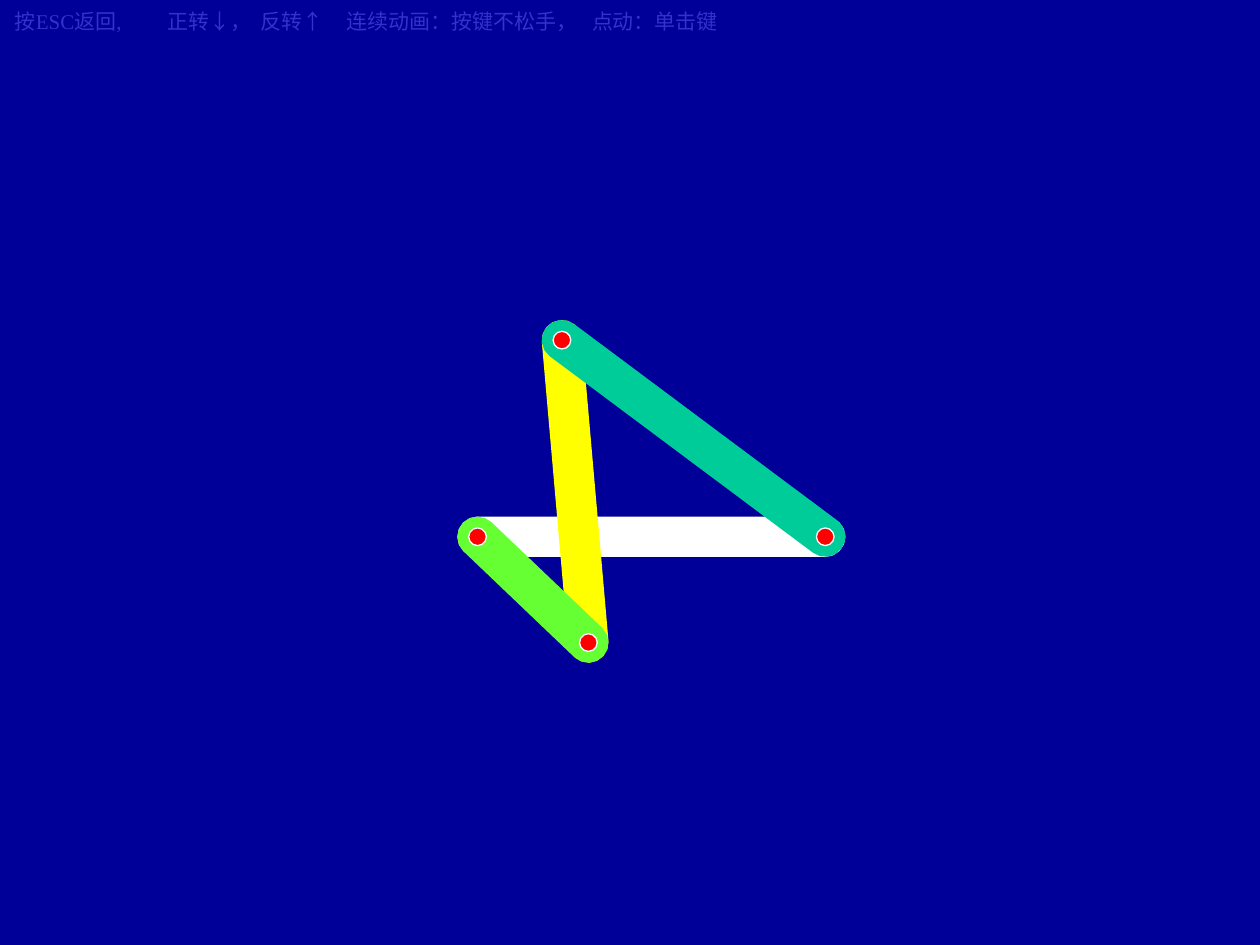
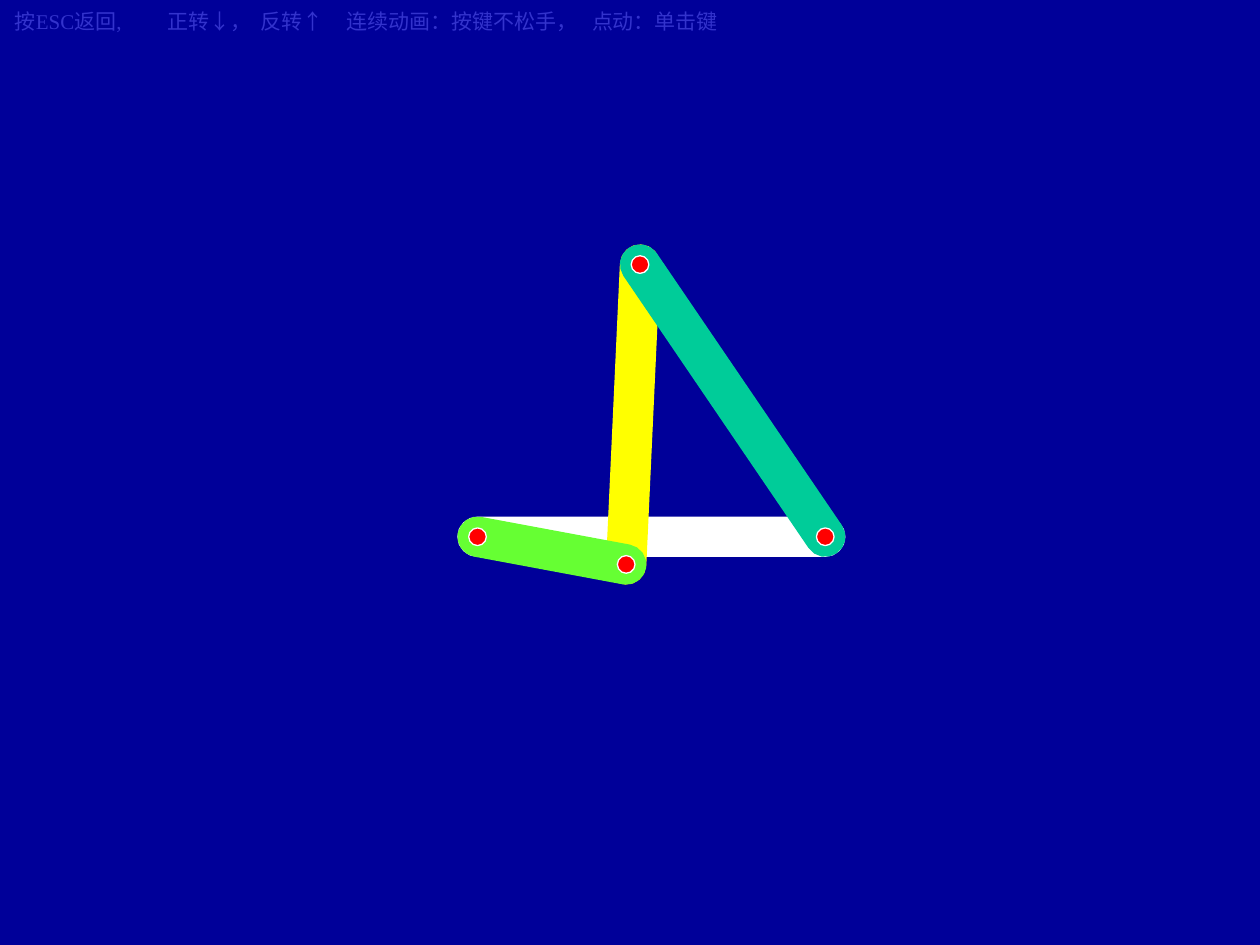
import math

import lxml.etree
import pptx
import pptx.dml.color
import pptx.enum.shapes
import pptx.enum.text
import pptx.oxml.ns
import pptx.util

Inches = pptx.util.Inches
Pt = pptx.util.Pt

BACKGROUND = "000099"
HINT_COLOUR = "3333CC"
FRAME_COLOUR = "FFFFFF"
COUPLER_COLOUR = "FFFF00"
CRANK_COLOUR = "66FF33"
ROCKER_COLOUR = "00CC99"
PIN_COLOUR = "FF0000"

HINTS = ["按ESC返回,", "正转↓，", "反转↑", "连续动画：按键不松手，", "点动：单击键"]
HINT_TABS = [1.21, 1.95, 2.63, 4.58]

LINK_RADIUS = 0.155
PIN_DIAMETER = 0.14
END_STEPS = 8
CRANK_PIVOT = (3.79, 4.26)
ROCKER_PIVOT = (6.55, 4.26)
POSITIONS = [
    {"crank_pin": (4.67, 5.10), "rocker_pin": (4.46, 2.70)},
    {"crank_pin": (4.97, 4.48), "rocker_pin": (5.08, 2.10)},
]


def colour(hex_string):
    """Return the RGB colour for a hex string."""
    return pptx.dml.color.RGBColor.from_string(hex_string)


def paint(shape, fill, line):
    """Give a shape a solid fill, a thin outline and no shadow."""
    shape.shadow.inherit = False
    shape.fill.solid()
    shape.fill.fore_color.rgb = colour(fill)
    shape.line.color.rgb = colour(line)
    shape.line.width = Pt(0.75)


def link_outline(start, end):
    """Return the points of a bar with rounded ends around two pin centres."""
    angle = math.atan2(end[1] - start[1], end[0] - start[0])
    points = []
    for centre, first in ((end, angle - math.pi / 2), (start, angle + math.pi / 2)):
        for step in range(END_STEPS + 1):
            turn = first + math.pi * step / END_STEPS
            points.append((Inches(centre[0] + LINK_RADIUS * math.cos(turn)),
                           Inches(centre[1] + LINK_RADIUS * math.sin(turn))))
    return points


def add_link(slide, start, end, fill):
    """Draw one bar of the linkage."""
    points = link_outline(start, end)
    builder = slide.shapes.build_freeform(*points[0])
    builder.add_line_segments(points[1:], close=True)
    paint(builder.convert_to_shape(), fill, fill)


def add_pin(slide, centre):
    """Draw a round pin at a joint."""
    shape = slide.shapes.add_shape(
        pptx.enum.shapes.MSO_SHAPE.OVAL,
        Inches(centre[0] - PIN_DIAMETER / 2), Inches(centre[1] - PIN_DIAMETER / 2),
        Inches(PIN_DIAMETER), Inches(PIN_DIAMETER))
    paint(shape, PIN_COLOUR, "FFFFFF")


def add_tab_stops(paragraph, positions):
    """Add left tab stops, in inches, to a paragraph."""
    qualified = pptx.oxml.ns.qn
    properties = paragraph._p.get_or_add_pPr()
    tabs = lxml.etree.SubElement(properties, qualified("a:tabLst"))
    for position in positions:
        lxml.etree.SubElement(tabs, qualified("a:tab"),
                              pos=str(Inches(position)), algn="l")


def add_hints(slide):
    """Write the row of key hints along the top."""
    shape = slide.shapes.add_textbox(Inches(0.02), Inches(0.02), Inches(6.49), Inches(0.3))
    frame = shape.text_frame
    frame.word_wrap = True
    frame.auto_size = pptx.enum.text.MSO_AUTO_SIZE.SHAPE_TO_FIT_TEXT
    paragraph = frame.paragraphs[0]
    add_tab_stops(paragraph, HINT_TABS)
    run = paragraph.add_run()
    run.text = "\t".join(HINTS)
    run.font.name = "Times New Roman"
    run.font.size = Pt(12)
    run.font.color.rgb = colour(HINT_COLOUR)


def add_linkage(slide, crank_pin, rocker_pin):
    """Draw the four-bar linkage in one position."""
    add_link(slide, CRANK_PIVOT, ROCKER_PIVOT, FRAME_COLOUR)
    add_link(slide, rocker_pin, crank_pin, COUPLER_COLOUR)
    add_link(slide, CRANK_PIVOT, crank_pin, CRANK_COLOUR)
    add_link(slide, rocker_pin, ROCKER_PIVOT, ROCKER_COLOUR)
    for centre in (crank_pin, rocker_pin, ROCKER_PIVOT, CRANK_PIVOT):
        add_pin(slide, centre)


def main():
    """Build the presentation with one slide per linkage position."""
    presentation = pptx.Presentation()
    presentation.slide_width = Inches(10)
    presentation.slide_height = Inches(7.5)
    background = presentation.slide_master.background.fill
    background.solid()
    background.fore_color.rgb = colour(BACKGROUND)
    for position in POSITIONS:
        slide = presentation.slides.add_slide(presentation.slide_layouts[6])
        add_linkage(slide, **position)
        add_hints(slide)
    presentation.save("out.pptx")


if __name__ == "__main__":
    main()
